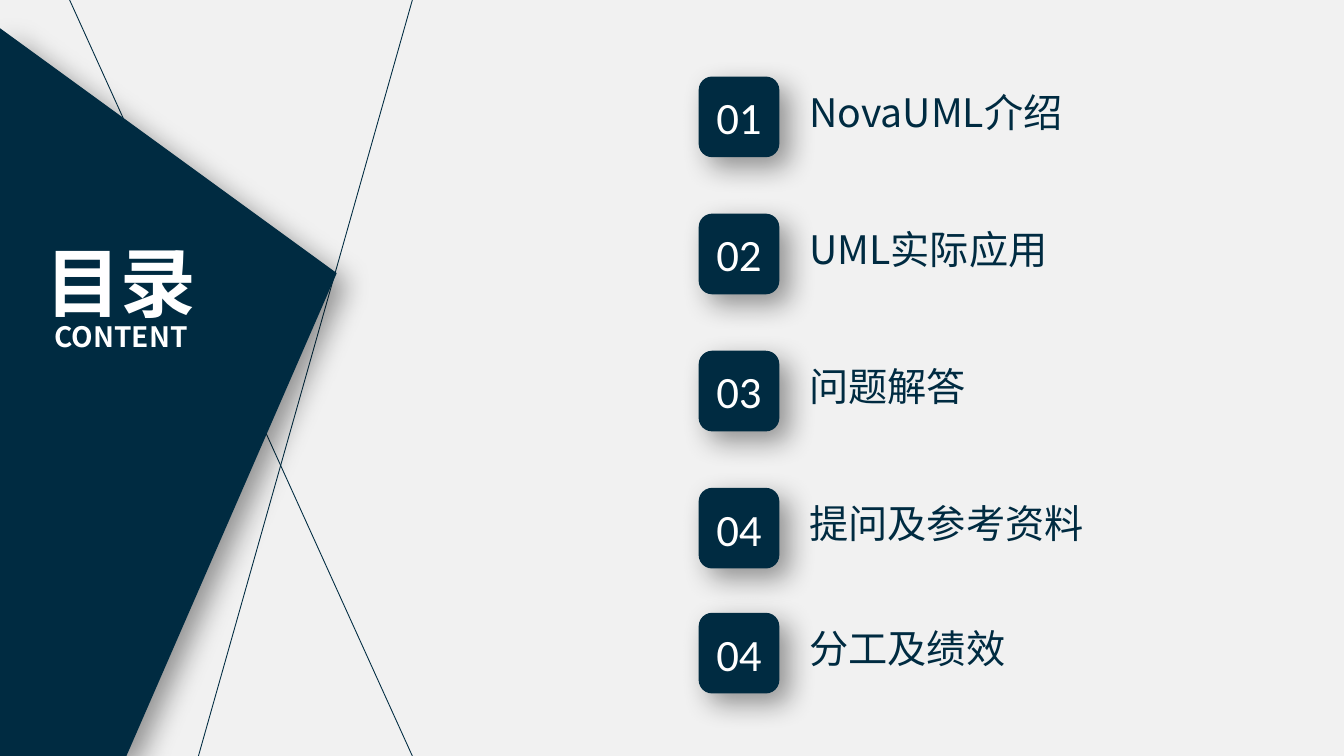
"""Build the contents slide: an angled title panel and five numbered topics."""
import pptx
import pptx.util
import pptx.dml.color
import pptx.enum.shapes
import pptx.enum.text
import pptx.oxml
import pptx.oxml.ns
from pptx.util import Inches

NAVY = "002B41"
WHITE = "FFFFFF"
CJK_FONT = "Noto Sans CJK SC"
NAMESPACE = pptx.oxml.ns.nsdecls("a")
SHADOW = (
    f'<a:effectLst {NAMESPACE}><a:outerShdw blurRad="254000" dist="127000" dir="2700000" '
    'algn="tl" rotWithShape="0"><a:srgbClr val="000000"><a:alpha val="40000"/>'
    "</a:srgbClr></a:outerShdw></a:effectLst>"
)


def paint(fill, color):
    fill.solid()
    fill.fore_color.rgb = pptx.dml.color.RGBColor.from_string(color)


def add_span(para, text, size, font, color, bold=False):
    span = para.add_run()
    span.text = text
    span.font.size = pptx.util.Pt(size)
    span.font.name = font
    span.font.bold = bold
    paint(span.font.fill, color)
    east_asian = pptx.oxml.parse_xml(f'<a:ea {NAMESPACE} typeface="{font}"/>')
    span.font._element.append(east_asian)


deck = pptx.Presentation()
deck.slide_width = Inches(13.33)
deck.slide_height = Inches(7.5)
page = deck.slides.add_slide(deck.slide_layouts[5])
paint(page.background.fill, "F1F1F1")

for start_x, start_y, end_x, end_y in [(4.09, 0, 1.94, 7.6), (4.09, 7.5, 0.6, -0.2)]:
    line = page.shapes.add_connector(
        pptx.enum.shapes.MSO_CONNECTOR.STRAIGHT,
        Inches(start_x), Inches(start_y), Inches(end_x), Inches(end_y),
    )
    paint(line.line.fill, NAVY)
    line.line.width = pptx.util.Pt(0.63)
    line._element.spPr.append(pptx.oxml.parse_xml(f"<a:effectLst {NAMESPACE}/>"))

outline = page.shapes.build_freeform(Inches(1.25), Inches(7.51))
corners = [(0, 7.51), (0, 0.28), (3.34, 2.71)]
outline.add_line_segments([(Inches(x), Inches(y)) for x, y in corners], close=True)
panel = outline.convert_to_shape()
paint(panel.fill, NAVY)
panel.line.fill.background()
panel._element.spPr.append(pptx.oxml.parse_xml(SHADOW))

title = page.shapes.title
title.left, title.top = Inches(0.24), Inches(2.4)
title.width, title.height = Inches(1.92), Inches(1.35)
title.element.getparent().append(title.element)
frame = title.text_frame
frame.auto_size = pptx.enum.text.MSO_AUTO_SIZE.NONE
frame.vertical_anchor = pptx.enum.text.MSO_ANCHOR.TOP
for para, text, size, spacing in [
    (frame.paragraphs[0], "目录", 54, 0.89),
    (frame.add_paragraph(), "CONTENT", 20, 0.72),
]:
    para.alignment = pptx.enum.text.PP_ALIGN.CENTER
    para.line_spacing = spacing
    add_span(para, text, size, CJK_FONT, WHITE, bold=True)

topics = [
    ("01", "NovaUML介绍", 0.76),
    ("02", "UML实际应用", 2.12),
    ("03", "问题解答", 3.48),
    ("04", "提问及参考资料", 4.84),
    ("04", "分工及绩效", 6.08),
]
for number, topic, top in topics:
    badge = page.shapes.add_shape(
        pptx.enum.shapes.MSO_SHAPE.ROUNDED_RECTANGLE,
        Inches(6.93), Inches(top), Inches(0.8), Inches(0.8),
    )
    paint(badge.fill, NAVY)
    badge.line.fill.background()
    badge._element.spPr.append(pptx.oxml.parse_xml(SHADOW))
    badge.text_frame.word_wrap = False
    badge.text_frame.vertical_anchor = pptx.enum.text.MSO_ANCHOR.MIDDLE
    para = badge.text_frame.paragraphs[0]
    para.alignment = pptx.enum.text.PP_ALIGN.CENTER
    add_span(para, number, 32, "Calibri", WHITE)

    box = page.shapes.add_textbox(Inches(7.93), Inches(top + 0.12), Inches(3.17), Inches(0.57))
    box.text_frame.word_wrap = True
    para = box.text_frame.paragraphs[0]
    para.line_spacing = 0.89
    add_span(para, topic, 28, CJK_FONT, NAVY)

deck.save("out.pptx")
